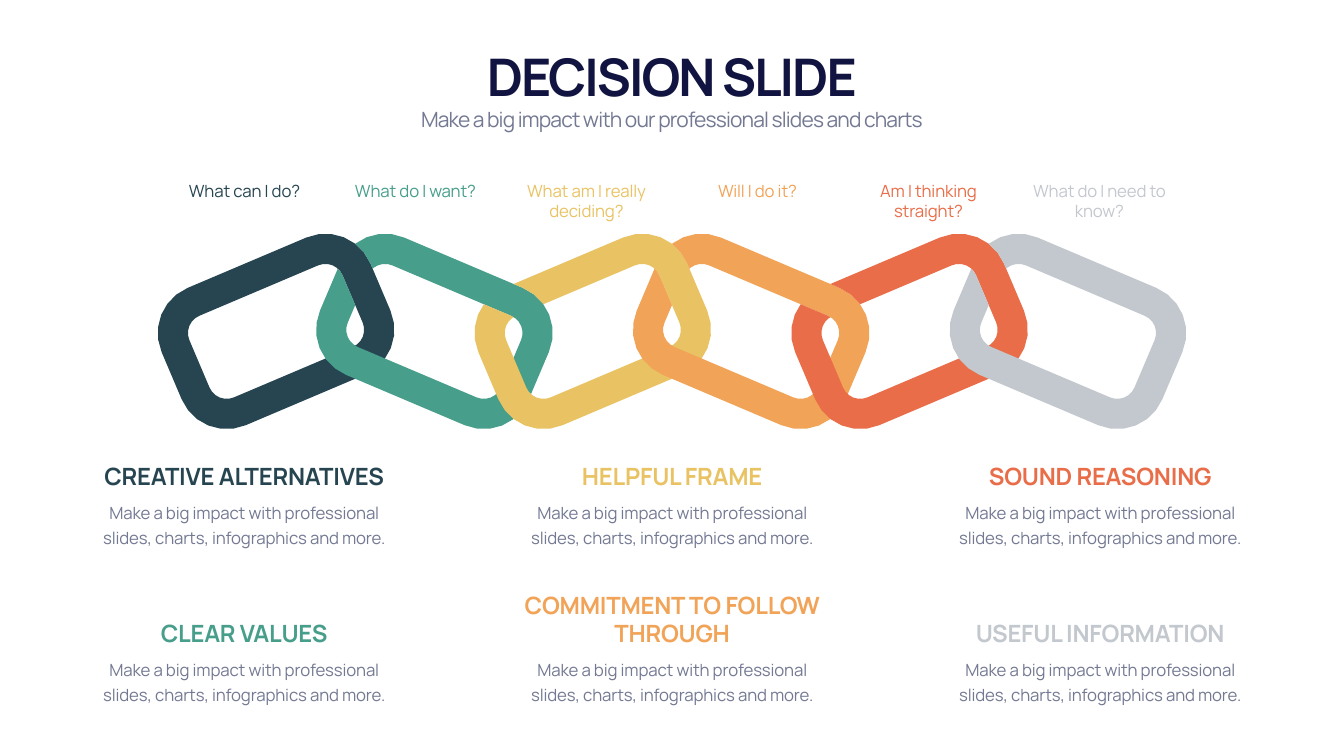
import math
from dataclasses import dataclass
from typing import Callable

from pptx import Presentation
from pptx.dml.color import RGBColor
from pptx.enum.text import MSO_ANCHOR, MSO_AUTO_SIZE, PP_ALIGN
from pptx.oxml.ns import qn
from pptx.util import Pt

CENTER = PP_ALIGN.CENTER
TOP, BOTTOM = MSO_ANCHOR.TOP, MSO_ANCHOR.BOTTOM
GROW = MSO_AUTO_SIZE.SHAPE_TO_FIT_TEXT
ARC_PARTS = 6

Point = tuple[float, float]
Test = Callable[[Point], bool]


@dataclass(frozen=True)
class Style:
    size: float
    spacing: float
    bold: bool = False
    leading: float | None = None


@dataclass(frozen=True)
class Theme:
    font: str = "Manrope"
    navy: str = "111340"
    gray: str = "747993"
    title: Style = Style(74, -2.9, bold=True)
    subtitle: Style = Style(30, -1.2)
    heading: Style = Style(34, -0.3, bold=True)
    body: Style = Style(24, -0.2, leading=36)
    question: Style = Style(24, -0.2)


@dataclass(frozen=True)
class Box:
    left: float
    top: float
    width: float
    height: float


@dataclass(frozen=True)
class Step:
    question: str
    question_lines: int
    heading: str
    heading_lines: int
    color: str


@dataclass(frozen=True)
class Link:
    """A tilted rounded rectangle with a band of constant width."""
    x: float
    y: float
    tilt: float
    half_length: float = 92.2  # straight part of the long side
    half_height: float = 36.7  # straight part of the short side
    radius: float = 69.8
    band: float = 43.2

    def edge(self, radius: float) -> list[Point]:
        """Clockwise outline at the given corner radius."""
        cos, sin = math.cos(self.tilt), math.sin(self.tilt)
        corners = [(-1, -1), (1, -1), (1, 1), (-1, 1)]
        local: list[Point] = []
        for number, (sx, sy) in enumerate(corners):
            arc = []
            for part in range(ARC_PARTS + 1):
                angle = math.pi + (number + part / ARC_PARTS) * math.pi / 2
                arc.append((sx * self.half_length + radius * math.cos(angle),
                            sy * self.half_height + radius * math.sin(angle)))
            if local:
                local += between(local[-1], arc[0])
            local += arc
        local += between(local[-1], local[0])
        return [(self.x + u * cos - v * sin, self.y + u * sin + v * cos) for u, v in local]

    def outer(self) -> list[Point]:
        return self.edge(self.radius)

    def inner(self) -> list[Point]:
        return self.edge(self.radius - self.band)

    def covers_above(self, point: Point) -> bool:
        """True on the band, in the upper half of the chain."""
        dx, dy = point[0] - self.x, point[1] - self.y
        cos, sin = math.cos(self.tilt), math.sin(self.tilt)
        u = max(abs(dx * cos + dy * sin) - self.half_length, 0)
        v = max(abs(dy * cos - dx * sin) - self.half_height, 0)
        return dy < 0 and self.radius - self.band <= math.hypot(u, v) <= self.radius


def between(start: Point, end: Point, parts: int = 12) -> list[Point]:
    return [(start[0] + (end[0] - start[0]) * n / parts,
             start[1] + (end[1] - start[1]) * n / parts) for n in range(1, parts)]


def border(away: Point, kept: Point, keep: Test) -> Point:
    """Point between the two where the test changes."""
    for _ in range(20):
        middle = ((away[0] + kept[0]) / 2, (away[1] + kept[1]) / 2)
        if keep(middle):
            kept = middle
        else:
            away = middle
    return kept


def kept_run(edge: list[Point], keep: Test) -> list[Point]:
    """The one stretch of a closed edge that passes the test."""
    first = next(n for n in range(len(edge)) if keep(edge[n]) and not keep(edge[n - 1]))
    turned = edge[first:] + edge[:first]
    count = next(n for n, point in enumerate(turned) if not keep(point))
    return [border(turned[-1], turned[0], keep), *turned[:count],
            border(turned[count], turned[count - 1], keep)]


def turning_points(contour: list[Point]) -> list[Point]:
    """The contour without points in the middle of straight stretches."""
    kept = []
    for before, here, after in zip(contour[-1:] + contour[:-1], contour, contour[1:] + contour[:1]):
        ax, ay = here[0] - before[0], here[1] - before[1]
        bx, by = after[0] - here[0], after[1] - here[1]
        if abs(ax * by - ay * bx) >= 0.01 * math.hypot(ax, ay) * math.hypot(bx, by):
            kept.append(here)
    return kept


def link_contours(link: Link, previous: Link | None) -> list[list[Point]]:
    """A full ring, or a ring opened where the previous link passes over it."""
    if previous is None:
        return [link.outer(), link.inner()[::-1]]

    def visible(point: Point) -> bool:
        return not previous.covers_above(point)

    return [kept_run(link.outer(), visible)
            + kept_run(previous.inner(), link.covers_above)
            + kept_run(link.inner(), visible)[::-1]
            + kept_run(previous.outer(), link.covers_above)[::-1]]


def draw_link(shapes, contours: list[list[Point]], color: str) -> None:
    outlines = [[(Pt(x), Pt(y)) for x, y in turning_points(contour)] for contour in contours]
    builder = shapes.build_freeform(*outlines[0][0], scale=1.0)
    builder.add_line_segments(outlines[0][1:], close=True)
    for hole in outlines[1:]:
        builder.move_to(*hole[0])
        builder.add_line_segments(hole[1:], close=True)
    ring = builder.convert_to_shape()
    ring.shadow.inherit = False
    ring.fill.solid()
    ring.fill.fore_color.rgb = RGBColor.from_string(color)
    ring.line.fill.background()


def write(shapes, text: str, box: Box, style: Style, color: str, anchor=TOP) -> None:
    frame = shapes.add_textbox(Pt(box.left), Pt(box.top), Pt(box.width), Pt(box.height)).text_frame
    frame.word_wrap, frame.auto_size, frame.vertical_anchor = True, GROW, anchor
    paragraph = frame.paragraphs[0]
    paragraph.text, paragraph.alignment = text, CENTER
    if style.leading:
        paragraph.line_spacing = Pt(style.leading)
    font = paragraph.font
    font.name, font.size, font.bold = THEME.font, Pt(style.size), style.bold
    font.color.rgb = RGBColor.from_string(color)
    # Letter spacing, in hundredths of a point
    paragraph._p.pPr.find(qn("a:defRPr")).set("spc", str(round(style.spacing * 100)))


THEME = Theme()
WIDTH, HEIGHT = 1919.52, 1080
CHAIN_Y, LINK_PITCH, TILT = 473.4, 226.2, math.radians(23)
BODY = "Make a big impact with professional slides, charts, infographics and more."
STEPS = [
    Step("What can I do?", 1, "CREATIVE ALTERNATIVES", 1, "264551"),
    Step("What do I want?", 1, "CLEAR VALUES", 1, "479E8B"),
    Step("What am I really deciding?", 2, "HELPFUL FRAME", 1, "E9C363"),
    Step("Will I do it?", 1, "COMMITMENT TO FOLLOW THROUGH", 2, "F1A357"),
    Step("Am I thinking straight?", 2, "SOUND REASONING", 1, "E86D48"),
    Step("What do I need to know?", 2, "USEFUL INFORMATION", 1, "C3C8CE"),
]

deck = Presentation()
deck.slide_width, deck.slide_height = Pt(WIDTH), Pt(HEIGHT)
shapes = deck.slides.add_slide(deck.slide_layouts[6]).shapes
# Chain: each link lies under the one before at the top, over it at the bottom
previous_link = None
for index, step in enumerate(STEPS):
    link = Link(WIDTH / 2 + (index - 2.5) * LINK_PITCH, CHAIN_Y, TILT if index % 2 else -TILT)
    draw_link(shapes, link_contours(link, previous_link), step.color)
    previous_link = link
# Title and subtitle
write(shapes, "DECISION SLIDE", Box(119.5, 59, 1680, 97.2), THEME.title, THEME.navy, BOTTOM)
write(shapes, "Make a big impact with our professional slides and charts",
      Box(119.5, 149, 1680, 44), THEME.subtitle, THEME.gray)
# Headings with descriptions, filled column by column, and questions above the chain
for index, step in enumerate(STEPS):
    column, row = divmod(index, 2)
    left, body_top = 112.3 + column * 611.3, 707 + row * 224.6
    heading_height = 6.5 + 41.7 * step.heading_lines
    write(shapes, step.heading, Box(left, body_top - 2.8 - heading_height, 473, heading_height),
          THEME.heading, step.color, BOTTOM)
    write(shapes, BODY, Box(left, body_top, 473, 78.5), THEME.body, THEME.gray)
    write(shapes, step.question,
          Box(236.9 + index * 244.2, 254.9, 224.6, 6.5 + 29.5 * step.question_lines),
          THEME.question, step.color)
deck.save("out.pptx")
